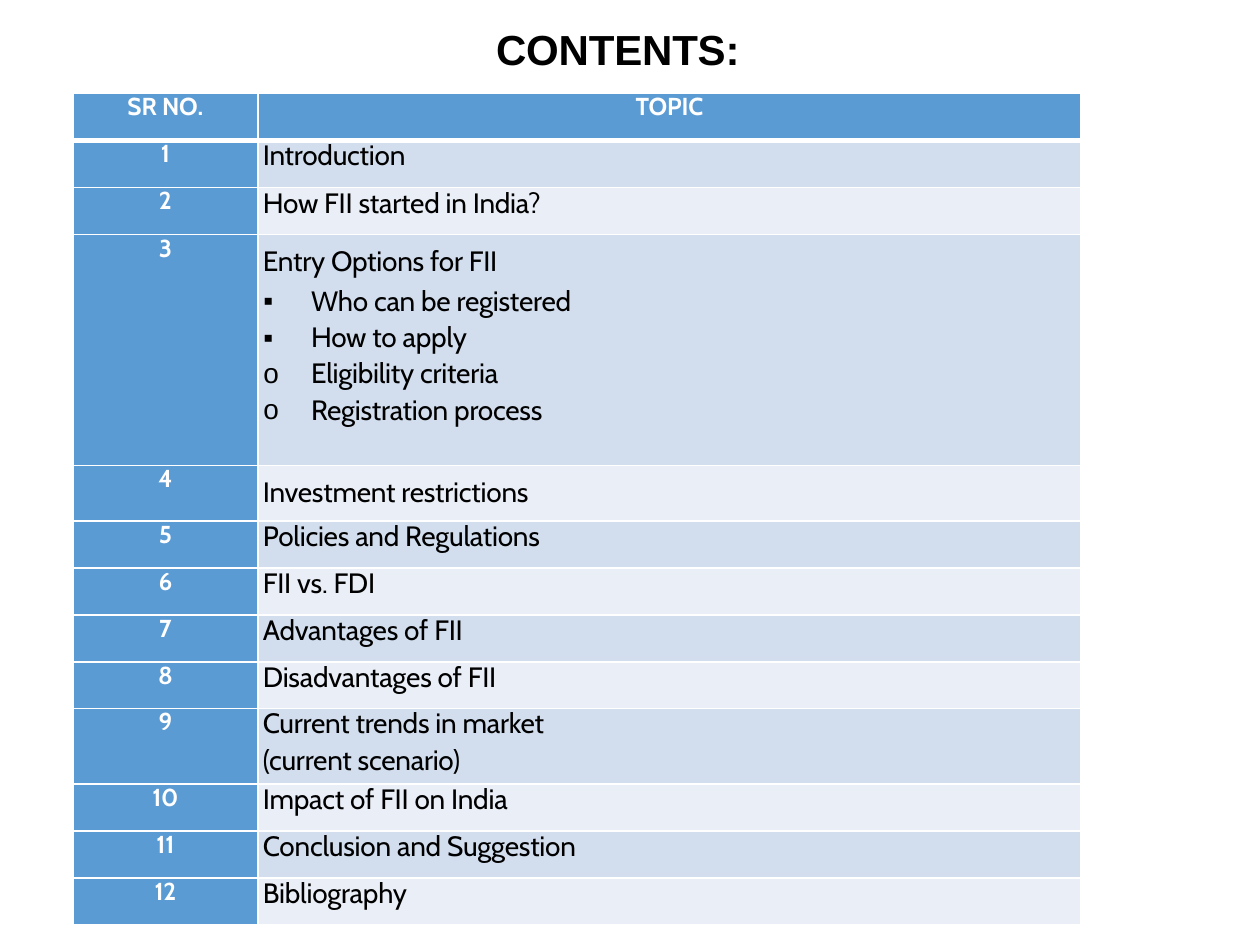
from lxml import etree
from pptx import Presentation
from pptx import util as u
from pptx.dml.color import RGBColor
from pptx.enum import text
from pptx.oxml import ns

COLORS = {"header": "5B9BD4", "odd": "D2DEEE", "even": "EAEEF7",
          "border": "FFFFFF", "light": "FFFFFF", "dark": "000000"}
ROW = 0.95
TOPICS = [
    (ROW, ["Introduction"]),
    (ROW, ["How FII started in India?"]),
    (4.65, ["Entry Options for FII", ("▪", "Who can be registered"),
            ("▪", "How to apply"), ("o", "Eligibility criteria"),
            ("o", "Registration process")]),
    (1.12, ["Investment restrictions"]),
    (ROW, ["Policies and Regulations"]),
    (ROW, ["FII vs. FDI"]),
    (ROW, ["Advantages of FII"]),
    (0.93, ["Disadvantages of FII"]),
    (1.52, ["Current trends in market", "(current scenario)"]),
    (ROW, ["Impact of FII on India"]),
    (ROW, ["Conclusion and Suggestion"]),
    (ROW, ["Bibliography"]),
]
SPACED_ROWS = (3, 4)


def rgb(name):
    """Return the palette colour with this name."""
    return RGBColor.from_string(COLORS[name])


def add_run(p, words, size, color, bold, font="Cabin"):
    """Add one formatted run to a paragraph."""
    r = p.add_run()
    r.text = words
    r.font.name, r.font.size, r.font.bold = font, u.Pt(size), bold
    r.font.color.rgb = rgb(color)
    r.font._element.set("spc", "-10")


def indent(p, left, hanging=0, bullet=None):
    """Set a paragraph's indents in centimetres and its optional bullet."""
    pPr = p._p.get_or_add_pPr()
    pPr.set("marL", str(u.Cm(left)))
    pPr.set("indent", str(u.Cm(-hanging)))
    if bullet:
        etree.SubElement(pPr, ns.qn("a:buFont")).set("typeface", "Arial")
        etree.SubElement(pPr, ns.qn("a:buChar")).set("char", bullet)


def style_cell(cell, fill, top=1, bottom=1):
    """Give a cell its fill, zero margins and white borders."""
    cell.fill.solid()
    cell.fill.fore_color.rgb = rgb(fill)
    cell.margin_left = cell.margin_right = cell.margin_top = cell.margin_bottom = 0
    tcPr = cell._tc.get_or_add_tcPr()
    for i, (side, width) in enumerate(zip("LRTB", (1, 1, top, bottom))):
        ln = etree.Element(ns.qn(f"a:ln{side}"), w=str(u.Pt(width)))
        solid = etree.SubElement(ln, ns.qn("a:solidFill"))
        etree.SubElement(solid, ns.qn("a:srgbClr")).set("val", COLORS["border"])
        tcPr.insert(i, ln)


def fill_label(cell, words):
    """Write a centred white label in a blue cell."""
    p = cell.text_frame.paragraphs[0]
    p.alignment = text.PP_ALIGN.CENTER
    p.line_spacing = u.Pt(16.3)
    add_run(p, words, 14, "light", True)


def fill_topic(cell, lines, spaced):
    """Write a topic and its sub-points in a cell."""
    tf = cell.text_frame
    if spaced:
        cell.margin_top = u.Cm(0.2)
    for i, line in enumerate(lines):
        p = tf.add_paragraph() if i else tf.paragraphs[0]
        bullet, words = line if isinstance(line, tuple) else (None, line)
        if i:
            p.space_before = u.Pt(3.4 if bullet and i == 1 else 1.4)
        elif spaced:
            p.space_before = u.Pt(5.6)
        else:
            p.line_spacing = u.Pt(18.6)
        if bullet:
            indent(p, 1.07, 0.96, bullet)
        else:
            indent(p, 0.1)
        add_run(p, words, 16, "dark", False)


def add_title(slide, left, top, width, height):
    """Place and format the title placeholder."""
    sp = slide.shapes.title
    sp.left, sp.top, sp.width, sp.height = map(u.Cm, (left, top, width, height))
    tf = sp.text_frame
    tf.margin_left = tf.margin_right = tf.margin_top = tf.margin_bottom = 0
    tf.word_wrap = False
    tf.vertical_anchor = text.MSO_ANCHOR.TOP
    p = tf.paragraphs[0]
    p.alignment = text.PP_ALIGN.LEFT
    p.space_before = u.Pt(1)
    add_run(p, "CONTENTS:", 24, "dark", True, "Arial")


def add_contents(slide, left, top, width, number_width):
    """Add the numbered table of topics."""
    heights = [ROW] + [height for height, _ in TOPICS]
    box = map(u.Cm, (left, top, width, sum(heights)))
    table = slide.shapes.add_table(len(heights), 2, *box).table
    table.first_row = table.horz_banding = False
    table.columns[0].width = u.Cm(number_width)
    table.columns[1].width = u.Cm(width - number_width)
    for row, height in zip(table.rows, heights):
        row.height = u.Cm(height)
    for col, words in enumerate(("SR NO.", "TOPIC")):
        style_cell(table.cell(0, col), "header", bottom=3)
        fill_label(table.cell(0, col), words)
    for n, (_, lines) in enumerate(TOPICS, 1):
        number, topic = table.cell(n, 0), table.cell(n, 1)
        top_line = 3 if n == 1 else 1
        style_cell(number, "header", top=top_line)
        style_cell(topic, "odd" if n % 2 else "even", top=top_line)
        fill_label(number, str(n))
        fill_topic(topic, lines, n in SPACED_ROWS)


def main():
    """Build and save the contents slide."""
    prs = Presentation()
    prs.slide_width, prs.slide_height = u.Cm(25.4), u.Cm(19.05)
    slide = prs.slides.add_slide(prs.slide_layouts[5])
    add_title(slide, 10, 0.48, 5, 1.1)
    add_contents(slide, 1.47, 1.88, 20.32, 3.73)
    prs.save("out.pptx")


if __name__ == "__main__":
    main()
